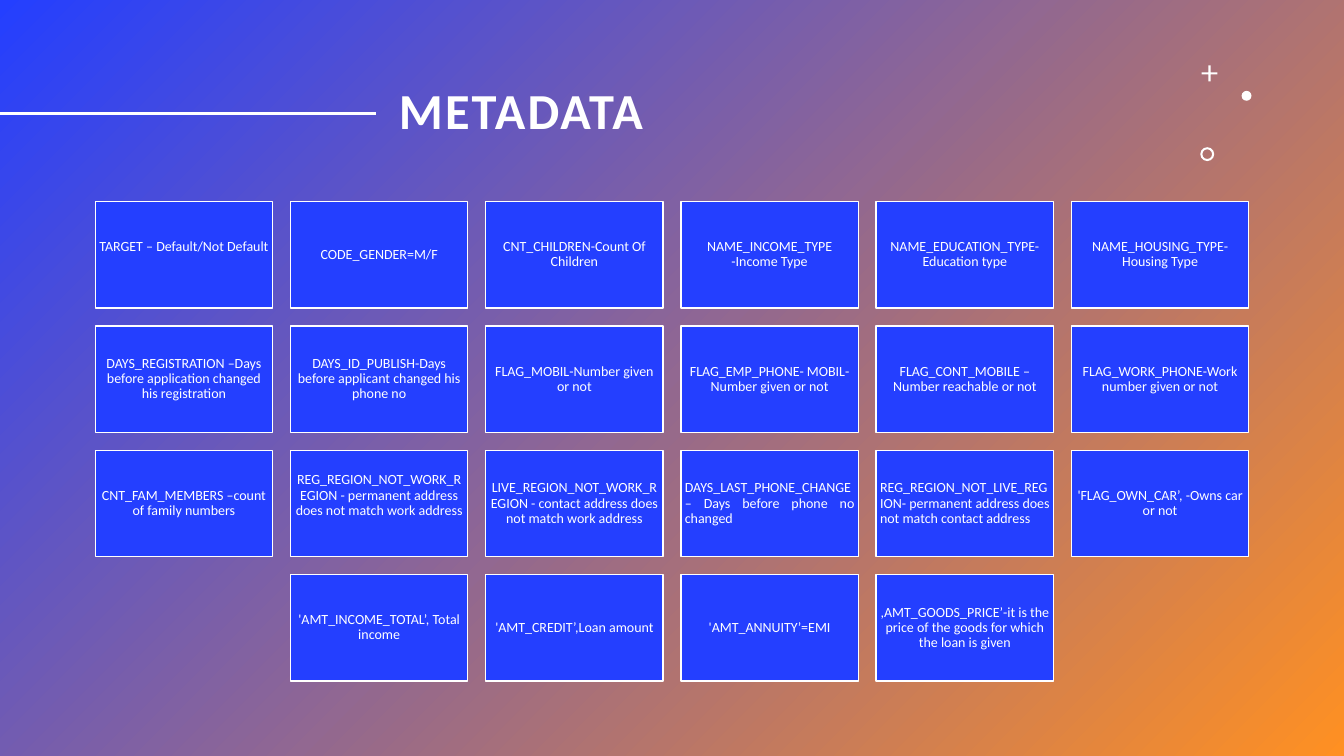
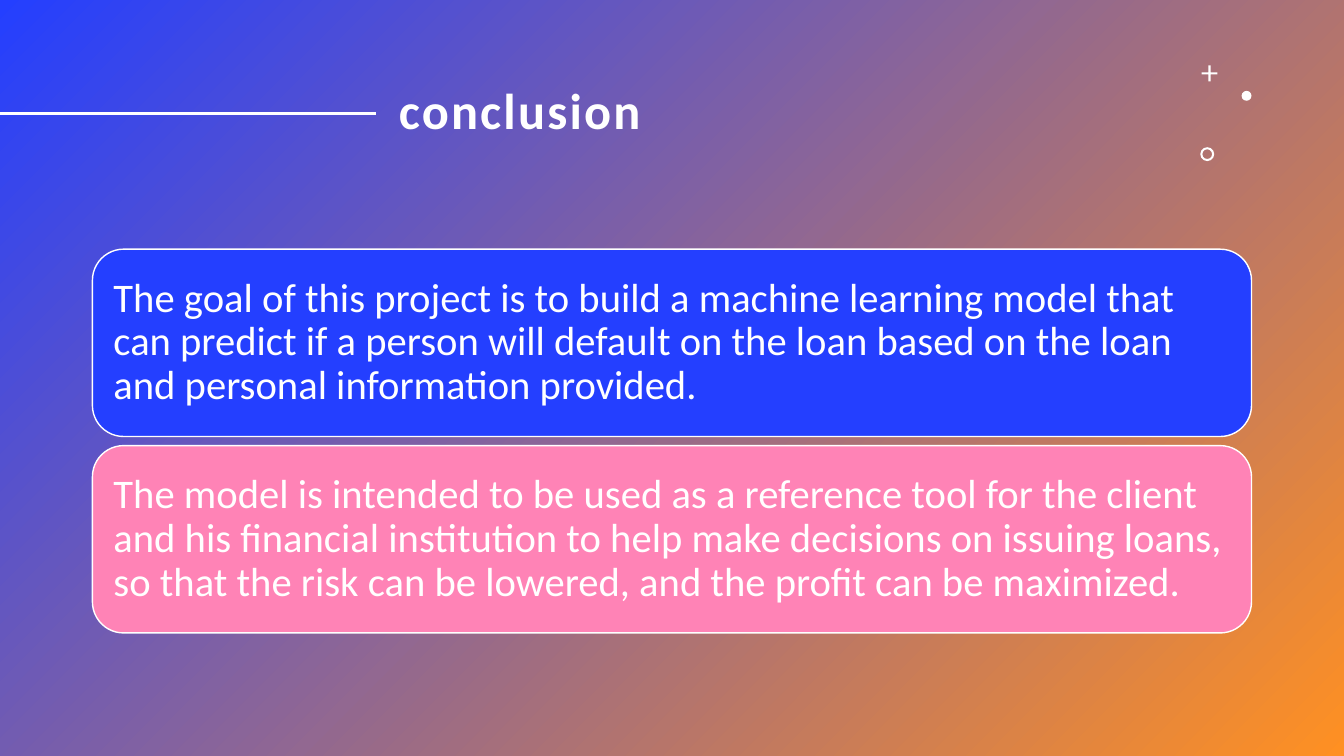
import lxml.etree
import pptx
import pptx.dml.color
import pptx.enum.shapes
import pptx.enum.text
import pptx.oxml.ns
import pptx.util

Cm, Pt = pptx.util.Cm, pptx.util.Pt
KIND = pptx.enum.shapes.MSO_SHAPE
ALIGN = pptx.enum.text.PP_ALIGN
WIDE, HIGH = 33.87, 19.05
FONT = "Calibri"
WHITE, BLUE, PINK, GOLD = "FFFFFF", "243FFF", "FF83B6", "FF9022"
SPARE = 0.4

ROWS = [
    ["TARGET – Default/Not Default", "CODE_GENDER=M/F",
     "CNT_CHILDREN-Count Of Children", "NAME_INCOME_TYPE -Income Type",
     "NAME_EDUCATION_TYPE-Education type", "NAME_HOUSING_TYPE-Housing Type"],
    ["DAYS_REGISTRATION –Days before application changed his registration",
     "DAYS_ID_PUBLISH-Days before applicant changed his phone no",
     "FLAG_MOBIL-Number given or not",
     "FLAG_EMP_PHONE- MOBIL-Number given or not",
     "FLAG_CONT_MOBILE –Number reachable or not",
     "FLAG_WORK_PHONE-Work number given or not"],
    ["CNT_FAM_MEMBERS –count of family numbers",
     "REG_REGION_NOT_WORK_REGION - permanent address does not match work address",
     "LIVE_REGION_NOT_WORK_REGION - contact address does not match work address",
     "DAYS_LAST_PHONE_CHANGE – Days before phone no changed",
     "REG_REGION_NOT_LIVE_REGION- permanent address does not match contact address",
     "'FLAG_OWN_CAR’, -Owns car or not"],
    ["'AMT_INCOME_TOTAL’, Total income", "'AMT_CREDIT’,Loan amount",
     "'AMT_ANNUITY’=EMI",
     ",AMT_GOODS_PRICE’-it is the price of the goods for which the loan is given"],
]
RAISED = {(0, 0), (2, 1)}
FLUSH = {(2, 3), (2, 4)}

GOALS = [
    ("The goal of this project is to build a machine learning model that can "
     "predict if a person will default on the loan based on the loan and "
     "personal information provided.", BLUE),
    ("The model is intended to be used as a reference tool for the client and "
     "his financial institution to help make decisions on issuing loans, so "
     "that the risk can be lowered, and the profit can be maximized.", PINK),
]


def tint(code):
    """Turn a hex string into a colour."""
    return pptx.dml.color.RGBColor.from_string(code)


def draw(slide, kind, box, fill=None, edge=None):
    """Add a preset shape in a box given in centimetres."""
    shape = slide.shapes.add_shape(kind, *map(Cm, box))
    shape.shadow.inherit = False
    if fill:
        shape.fill.solid()
        shape.fill.fore_color.rgb = tint(fill)
    if edge:
        shape.line.color.rgb = tint(edge)
        shape.line.width = Pt(1)
    else:
        shape.line.fill.background()
    return shape


def write(shape, text, size, inset, align=ALIGN.LEFT, bold=None, foot=0):
    """Set one paragraph of white text, with extra room at the foot."""
    frame = shape.text_frame
    frame.word_wrap = True
    frame.auto_size = pptx.enum.text.MSO_AUTO_SIZE.NONE
    frame.vertical_anchor = pptx.enum.text.MSO_ANCHOR.MIDDLE
    frame.margin_left = frame.margin_right = frame.margin_top = Cm(inset)
    frame.margin_bottom = Cm(inset + foot)
    para = frame.paragraphs[0]
    para.alignment = align
    para.line_spacing = 0.9
    run = para.add_run()
    run.text = text
    run.font.name = FONT
    run.font.size = Pt(size)
    run.font.bold = bold
    run.font.color.rgb = tint(WHITE)


def back(slide, box):
    """Lay the gradient behind the title."""
    shape = draw(slide, KIND.RECTANGLE, box)
    shape.fill.gradient()
    shape.fill.gradient_angle = 315
    for stop, code in zip(shape.fill.gradient_stops, (BLUE, GOLD)):
        stop.color.rgb = tint(code)
    slide.shapes.title.element.addprevious(shape.element)


def head(slide, text, box):
    """Place the title and the rule that leads to it."""
    left, top, width, height = box
    title = slide.shapes.title
    title.left, title.top, title.width, title.height = map(Cm, box)
    write(title, text, 36, 0.3, bold=True)
    for prop in title.element.iter(pptx.oxml.ns.qn("a:rPr")):
        prop.set("spc", "160")
    mid = Cm(top + height / 2)
    rule = slide.shapes.add_connector(
        pptx.enum.shapes.MSO_CONNECTOR.STRAIGHT, 0, mid, Cm(left - 0.28), mid)
    rule.line.color.rgb = tint(WHITE)
    rule.line.width = Pt(2)
    lxml.etree.SubElement(rule.element.spPr, pptx.oxml.ns.qn("a:effectLst"))


def marks(slide, left, top):
    """Scatter the plus, dot and ring from a corner point."""
    plus = draw(slide, KIND.CROSS, (left + 0.03, top, 0.4, 0.4), WHITE)
    plus.adjustments[0] = 0.43
    draw(slide, KIND.OVAL, (left + 1.04, top + 0.64, 0.25, 0.25), WHITE)
    ring = draw(slide, KIND.DONUT, (left, top + 2.06, 0.35, 0.35), WHITE)
    ring.adjustments[0] = 0.15


def grid(slide, box, gap):
    """Fill a box with rows of cells, centring any short row."""
    left, top, width, height = box
    cols = max(map(len, ROWS))
    wide = (width - gap * (cols - 1)) / cols
    high = (height - gap * (len(ROWS) - 1)) / len(ROWS)
    for row, texts in enumerate(ROWS):
        start = (cols - len(texts)) / 2
        for col, text in enumerate(texts):
            place = (left + (start + col) * (wide + gap),
                     top + row * (high + gap), wide, high)
            cell = draw(slide, KIND.RECTANGLE, place, BLUE, WHITE)
            align = ALIGN.JUSTIFY if (row, col) in FLUSH else ALIGN.CENTER
            foot = SPARE if (row, col) in RAISED else 0
            write(cell, text, 10, 0.1, align, foot=foot)


def stack(slide, box, gap):
    """Pile the rounded panels in a box."""
    left, top, width, height = box
    high = (height - gap * (len(GOALS) - 1)) / len(GOALS)
    for row, (text, fill) in enumerate(GOALS):
        place = (left, top + row * (high + gap), width, high)
        panel = draw(slide, KIND.ROUNDED_RECTANGLE, place, fill, WHITE)
        write(panel, text, 29, 0.3)


def start(deck, text):
    """Add a slide with the shared backdrop, title and marks."""
    slide = deck.slides.add_slide(deck.slide_layouts[5])
    back(slide, (0, 0, WIDE, HIGH))
    head(slide, text, (9.75, 1.02, 19.89, 3.68))
    marks(slide, 30.25, 1.65)
    return slide


def main():
    """Build and save the deck."""
    deck = pptx.Presentation()
    deck.slide_width, deck.slide_height = Cm(WIDE), Cm(HIGH)
    grid(start(deck, "METADATA"), (2.4, 5.08, 29.07, 12.08), 0.45)
    stack(start(deck, "conclusion"), (2.33, 6.28, 29.21, 9.67), 0.23)
    deck.save("out.pptx")


main()
